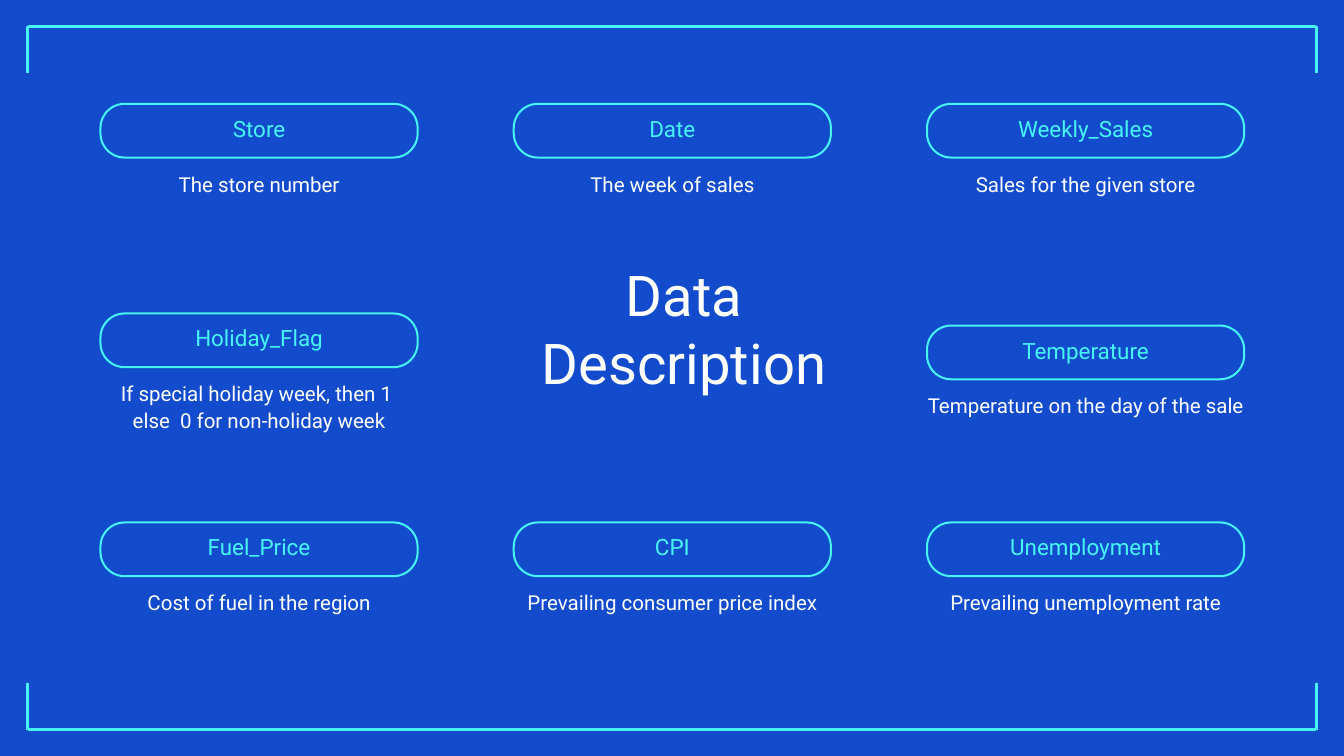
from lxml import etree
from pptx import Presentation
from pptx.dml.color import RGBColor
from pptx.enum.shapes import MSO_CONNECTOR, MSO_SHAPE
from pptx.enum.text import MSO_ANCHOR, MSO_AUTO_SIZE, PP_ALIGN
from pptx.oxml.ns import qn
from pptx.util import Inches, Pt

BLUE = "124CCD"
CYAN = "47F4F4"
WHITE = "FFFFFF"

COLUMNS = [1.48 + 6.15 * column for column in range(3)]
TOP, MIDDLE, BOTTOM = 1.53, 4.65, 7.76
FIELD_WIDTH = 4.75

FIELDS = [
    (COLUMNS[0], TOP, "Store", ["The store number"]),
    (COLUMNS[1], TOP, "Date", ["The week of sales"]),
    (COLUMNS[2], TOP, "Weekly_Sales", ["Sales for the given store"]),
    (COLUMNS[0], MIDDLE, "Holiday_Flag",
     ["If special holiday week, then 1 ", "else  0 for non-holiday week"]),
    (COLUMNS[2], MIDDLE + 0.18, "Temperature", ["Temperature on the day of the sale"]),
    (COLUMNS[0], BOTTOM, "Fuel_Price", ["Cost of fuel in the region"]),
    (COLUMNS[1], BOTTOM, "CPI", ["Prevailing consumer price index"]),
    (COLUMNS[2], BOTTOM, "Unemployment", ["Prevailing unemployment rate"]),
]


def color(value):
    return RGBColor.from_string(value)


def write_text(shape, lines, size, spacing, text_color, top_margin=0):
    frame = shape.text_frame
    frame.text = "\n".join(lines)
    frame.word_wrap = True
    frame.auto_size = MSO_AUTO_SIZE.NONE
    frame.vertical_anchor = MSO_ANCHOR.TOP
    frame.margin_left = frame.margin_right = frame.margin_bottom = 0
    frame.margin_top = Inches(top_margin)
    for paragraph in frame.paragraphs:
        paragraph.alignment = PP_ALIGN.CENTER
        paragraph.line_spacing = Pt(spacing)
        paragraph.space_before = Pt(0)
        paragraph.font.name = "Roboto"
        paragraph.font.size = Pt(size)
        paragraph.font.color.rgb = color(text_color)


def add_title(slide, left, top, width, height):
    title = slide.shapes.title
    title.left, title.top = Inches(left), Inches(top)
    title.width, title.height = Inches(width), Inches(height)
    write_text(title, ["Data Description"], 60.2, 72.2, WHITE)


def add_field(slide, left, top, width, name, description):
    border = 0.03
    pill = slide.shapes.add_shape(
        MSO_SHAPE.ROUNDED_RECTANGLE,
        Inches(left + border / 2), Inches(top + border / 2),
        Inches(width - border), Inches(0.8))
    pill.adjustments[0] = 0.45
    pill.shadow.inherit = False
    pill.fill.solid()
    pill.fill.fore_color.rgb = color(BLUE)
    pill.line.color.rgb = color(CYAN)
    pill.line.width = Inches(border)
    write_text(pill, [name], 24, 28.8, CYAN, top_margin=0.06)

    overhang = 0.35
    caption = slide.shapes.add_textbox(
        Inches(left - overhang), Inches(top + 1),
        Inches(width + 2 * overhang), Inches(0.39 * len(description)))
    write_text(caption, description, 22, 28.2, WHITE)


def add_line(slide, start_x, start_y, end_x, end_y):
    line = slide.shapes.add_connector(
        MSO_CONNECTOR.STRAIGHT,
        Inches(start_x), Inches(start_y), Inches(end_x), Inches(end_y))
    line.line.color.rgb = color(CYAN)
    line.line.width = Pt(3)
    etree.SubElement(line._element.spPr, qn("a:effectLst"))


def add_frame(slide, left, top, right, bottom):
    for edge, leg in ((top, 0.7), (bottom, -0.7)):
        add_line(slide, left, edge, right, edge)
        for side in (left, right):
            add_line(slide, side, edge, side, edge + leg)


def main():
    presentation = Presentation()
    presentation.slide_width = Inches(20)
    presentation.slide_height = Inches(11.25)
    slide = presentation.slides.add_slide(presentation.slide_layouts[5])
    slide.background.fill.solid()
    slide.background.fill.fore_color.rgb = color(BLUE)

    add_title(slide, 7.43, 3.88, 5.5, 2.18)
    for left, top, name, description in FIELDS:
        add_field(slide, left, top, FIELD_WIDTH, name, description)
    add_frame(slide, 0.41, 0.39, 19.59, 10.86)
    presentation.save("out.pptx")


if __name__ == "__main__":
    main()
